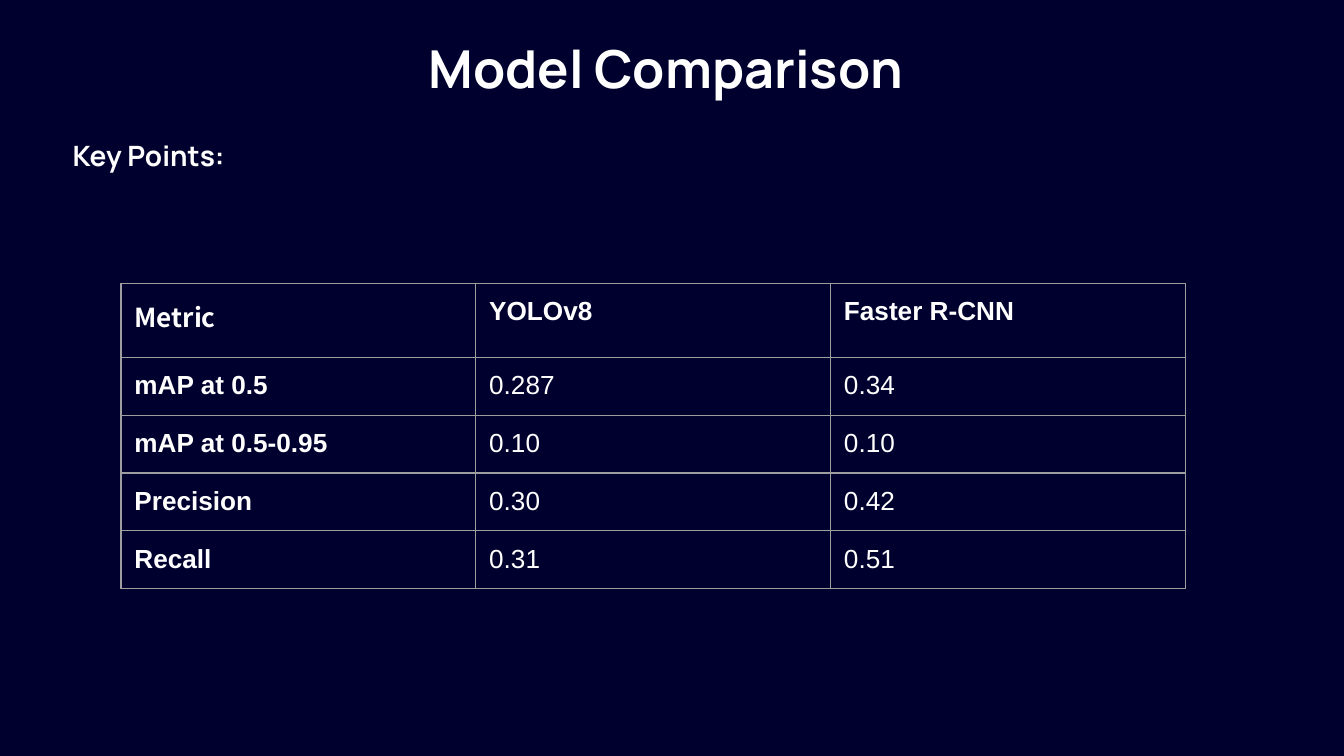
from dataclasses import dataclass

from lxml.etree import SubElement
from pptx import Presentation
from pptx.dml.color import RGBColor
from pptx.enum.text import MSO_ANCHOR, MSO_AUTO_SIZE, PP_ALIGN
from pptx.oxml.ns import qn
from pptx.util import Inches, Pt

COLORS = {"background": "00002E", "text": "FFFFFF", "border": "9E9E9E"}
SLIDE_WIDTH = 10
SLIDE_HEIGHT = SLIDE_WIDTH * 9 / 16
INSET = Inches(0.1)
MARGINS = ("margin_left", "margin_top", "margin_right", "margin_bottom")
COLUMN_WIDTH = 2.64
HEADER_HEIGHT, ROW_HEIGHT = 0.55, 0.43
BORDER_WIDTH = Pt(0.75)


@dataclass
class TextStyle:
    size: float
    font: str
    bold: bool = True


@dataclass
class Heading:
    text: str
    box: tuple[float, float, float, float]
    style: TextStyle
    paragraph: dict


HEADINGS = [
    Heading("Model Comparison", (0.74, 0.17, 8.43, 0.63), TextStyle(28, "Manrope"),
            {"alignment": PP_ALIGN.CENTER, "line_spacing": 1.0}),
    Heading("Key Points:", (0.44, 0.89, 8.85, 1.37), TextStyle(15, "Manrope"),
            {"alignment": PP_ALIGN.LEFT, "line_spacing": 1.15, "space_before": Pt(0)}),
]
METRICS = [
    ("Metric", "YOLOv8", "Faster R-CNN"),
    ("mAP at 0.5", "0.287", "0.34"),
    ("mAP at 0.5-0.95", "0.10", "0.10"),
    ("Precision", "0.30", "0.42"),
    ("Recall", "0.31", "0.51"),
]


def set_attributes(target, values: dict) -> None:
    for name, value in values.items():
        setattr(target, name, value)


def write_text(p, text: str, style: TextStyle) -> None:
    r = p.add_run()
    r.text = text
    set_attributes(r.font, {"size": Pt(style.size), "name": style.font, "bold": style.bold})
    r.font.color.rgb = RGBColor.from_string(COLORS["text"])


def fill_placeholder(sp, heading: Heading) -> None:
    names = ("left", "top", "width", "height")
    set_attributes(sp, dict(zip(names, map(Inches, heading.box))))
    tf = sp.text_frame
    set_attributes(tf, dict.fromkeys(MARGINS, INSET))
    set_attributes(tf, {"word_wrap": True, "auto_size": MSO_AUTO_SIZE.NONE,
                        "vertical_anchor": MSO_ANCHOR.TOP})
    p = tf.paragraphs[0]
    set_attributes(p, heading.paragraph)
    pPr = p._p.get_or_add_pPr()
    pPr.set("marL", "0")
    pPr.set("indent", "0")
    SubElement(pPr, qn("a:buNone"))
    write_text(p, heading.text, heading.style)


def add_borders(cell) -> None:
    tcPr = cell._tc.get_or_add_tcPr()
    for side in ("lnL", "lnR", "lnT", "lnB"):
        ln = SubElement(tcPr, qn(f"a:{side}"), w=str(BORDER_WIDTH))
        fill = SubElement(ln, qn("a:solidFill"))
        SubElement(fill, qn("a:srgbClr"), val=COLORS["border"])


def cell_style(row: int, column: int) -> TextStyle:
    font = "Noto Sans CJK KR" if row == column == 0 else "Arial"
    return TextStyle(14, font, bold=row == 0 or column == 0)


def add_metrics_table(s, left: float, top: float) -> None:
    heights = [HEADER_HEIGHT] + [ROW_HEIGHT] * (len(METRICS) - 1)
    columns = len(METRICS[0])
    table = s.shapes.add_table(len(METRICS), columns, Inches(left), Inches(top),
                               Inches(COLUMN_WIDTH * columns), Inches(sum(heights))).table
    set_attributes(table, {"first_row": False, "horz_banding": False})
    for column in table.columns:
        column.width = Inches(COLUMN_WIDTH)
    for i, (height, values) in enumerate(zip(heights, METRICS)):
        table.rows[i].height = Inches(height)
        for j, value in enumerate(values):
            cell = table.cell(i, j)
            set_attributes(cell, dict.fromkeys(MARGINS, INSET))
            add_borders(cell)
            cell.fill.background()
            write_text(cell.text_frame.paragraphs[0], value, cell_style(i, j))


def main() -> None:
    prs = Presentation()
    prs.slide_width, prs.slide_height = Inches(SLIDE_WIDTH), Inches(SLIDE_HEIGHT)
    s = prs.slides.add_slide(prs.slide_layouts[1])
    s.background.fill.solid()
    s.background.fill.fore_color.rgb = RGBColor.from_string(COLORS["background"])
    for sp, heading in zip(s.placeholders, HEADINGS):
        fill_placeholder(sp, heading)
    add_metrics_table(s, 0.9, 2.11)
    prs.save("out.pptx")


if __name__ == "__main__":
    main()
